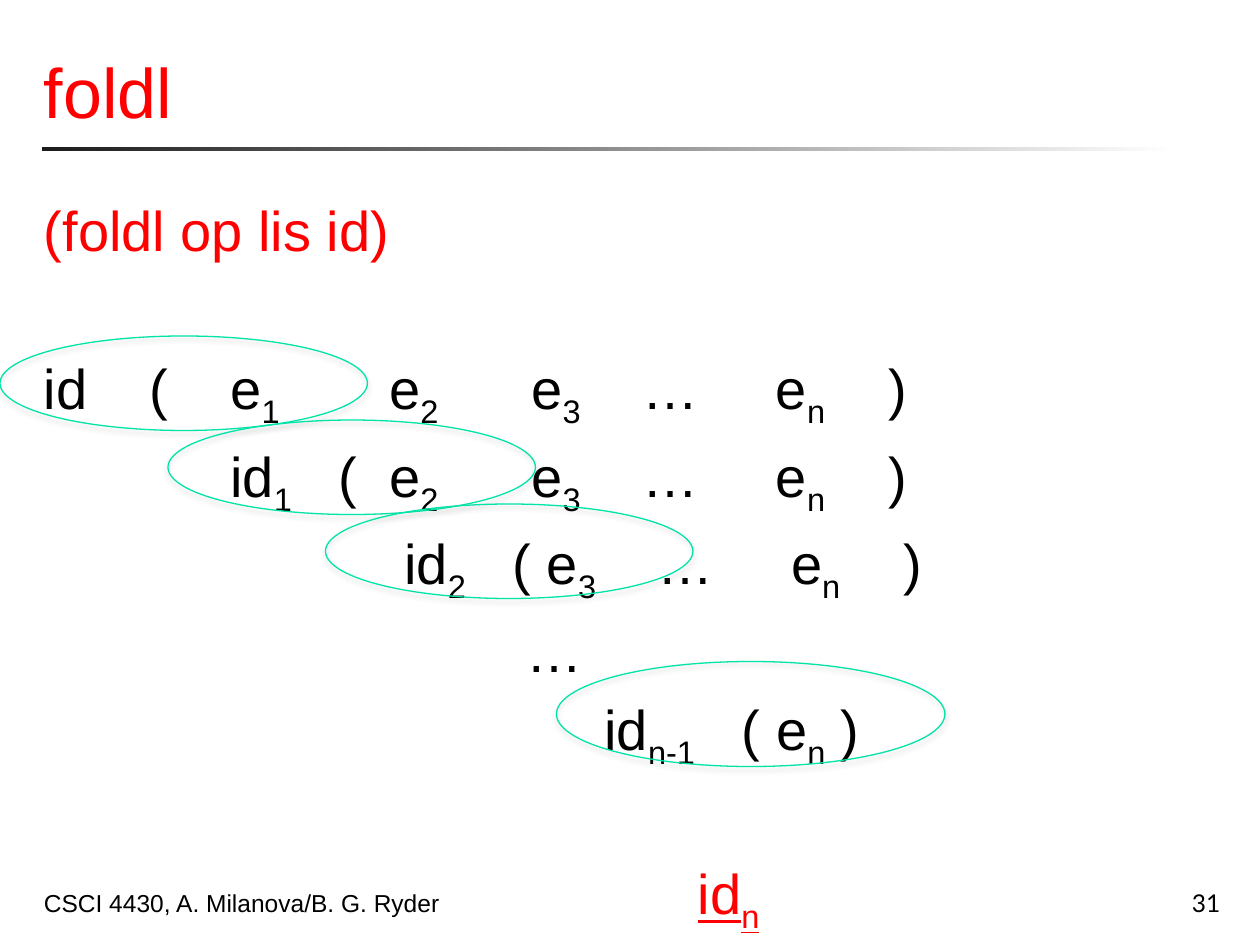
from lxml.etree import SubElement
from pptx import Presentation
from pptx.dml.color import RGBColor
from pptx.enum.shapes import MSO_SHAPE
from pptx.enum.text import MSO_ANCHOR, PP_ALIGN
from pptx.oxml import parse_xml
from pptx.oxml.ns import nsdecls, qn
from pptx.util import Inches, Pt

RED = RGBColor(0xFF, 0x00, 0x00)
BLACK = RGBColor(0x00, 0x00, 0x00)
CHARCOAL = RGBColor(0x1C, 0x1C, 0x1C)
WHITE = RGBColor(0xFF, 0xFF, 0xFF)
GREEN = RGBColor(0x00, 0xE4, 0xA7)

CELL = 1 / 12
SUBSCRIPT = "-25000"
GAP = 6.4
WIDE_GAP = 50

LIST_TAIL = [(3.87, "e_3_"), (4.75, "…"), (5.81, "e_n_"), (6.7, ")")]
SHIFTED_TAIL = [(round(stop + 0.12, 2), text) for stop, text in LIST_TAIL]

FOLD_STEPS = [
    ([(0, "id"), (0.84, "("), (1.48, "e_1_"), (2.74, "e_2_")] + LIST_TAIL, 52),
    ([(1.48, "id_1_"), (2.34, "("), (2.74, "e_2_")] + LIST_TAIL, GAP),
    ([(2.86, "id_2_"), (3.72, "( e_3_")] + SHIFTED_TAIL[1:], GAP),
    ([(3.83, "…")], GAP),
    ([(4.45, "id_n-1_"), (5.54, "( e_n_ )")], GAP),
]

ELLIPSES = [(0, 32, 35, 9), (16, 40, 35, 9), (31, 48, 35, 9), (53, 63, 37, 10)]


def grid(*cells):
    return [Inches(cell * CELL) for cell in cells]


def write(paragraph, text, size=32, color=BLACK, font="Arial", underline=None):
    for index, part in enumerate(text.split("_")):
        if not part:
            continue
        run = paragraph.add_run()
        run.text = part
        run.font.size = Pt(size)
        run.font.name = font
        run.font.color.rgb = color
        run.font.underline = underline
        if index % 2:
            run.font._element.set("baseline", SUBSCRIPT)


def add_text_frame(slide, cells, anchor=MSO_ANCHOR.TOP):
    text_frame = slide.shapes.add_textbox(*grid(*cells)).text_frame
    text_frame.word_wrap = True
    text_frame.vertical_anchor = anchor
    return text_frame


def add_label(slide, cells, text, align=PP_ALIGN.LEFT, **text_format):
    paragraph = add_text_frame(slide, cells, MSO_ANCHOR.BOTTOM).paragraphs[0]
    paragraph.alignment = align
    write(paragraph, text, **text_format)


def add_tabbed_line(text_frame, tokens, gap, **text_format):
    paragraph = text_frame.add_paragraph()
    paragraph.space_before = Pt(gap)
    tab_list = SubElement(paragraph._p.get_or_add_pPr(), qn("a:tabLst"))
    for stop, text in tokens:
        if stop:
            SubElement(tab_list, qn("a:tab"), pos=str(Inches(stop)), algn="l")
            write(paragraph, "\t")
        write(paragraph, text, **text_format)


def add_fold_body(slide):
    text_frame = add_text_frame(slide, (3, 18, 114.5, 63))
    heading = text_frame.paragraphs[0]
    heading.space_before = Pt(3)
    write(heading, "(foldl op lis id)", color=RED)
    for tokens, gap in FOLD_STEPS:
        add_tabbed_line(text_frame, tokens, gap)
    add_tabbed_line(text_frame, [(5.19, "id_n_")], WIDE_GAP, color=RED, underline=True)


def add_title_rule(slide):
    shape = slide.shapes.add_shape(MSO_SHAPE.RECTANGLE, *grid(4, 14, 108, 0.4))
    shape.shadow.inherit = False
    shape.line.fill.background()
    shape.fill.gradient()
    shape.fill.gradient_angle = 0
    for stop, color, position in zip(shape.fill.gradient_stops, (CHARCOAL, WHITE), (0, 1)):
        stop.color.rgb = color
        stop.position = position


def add_ellipse(slide, cells):
    shape = slide.shapes.add_shape(MSO_SHAPE.OVAL, *grid(*cells))
    shape.fill.background()
    shape.line.color.rgb = GREEN
    shape.line.width = Pt(0.75)
    shape._element.spPr.append(parse_xml(
        f'<a:effectLst {nsdecls("a")}>'
        f'<a:outerShdw blurRad="{Pt(3.1)}" dist="{Pt(1.8)}" dir="5400000" rotWithShape="0">'
        '<a:srgbClr val="808080"><a:alpha val="35000"/></a:srgbClr>'
        '</a:outerShdw></a:effectLst>'
    ))


def main():
    presentation = Presentation()
    presentation.slide_width = Inches(10)
    presentation.slide_height = Inches(7.5)
    slide = presentation.slides.add_slide(presentation.slide_layouts[6])
    add_title_rule(slide)
    add_label(slide, (3, 0, 114.2, 13.2), "foldl", size=40, color=RED)
    add_fold_body(slide)
    add_label(slide, (92.4, 82, 25, 6), "31", align=PP_ALIGN.RIGHT, size=14, font="Lato")
    for cells in ELLIPSES:
        add_ellipse(slide, cells)
    add_label(slide, (3, 82, 79, 6), "CSCI 4430, A. Milanova/B. G. Ryder", size=14)
    presentation.save("out.pptx")


if __name__ == "__main__":
    main()
